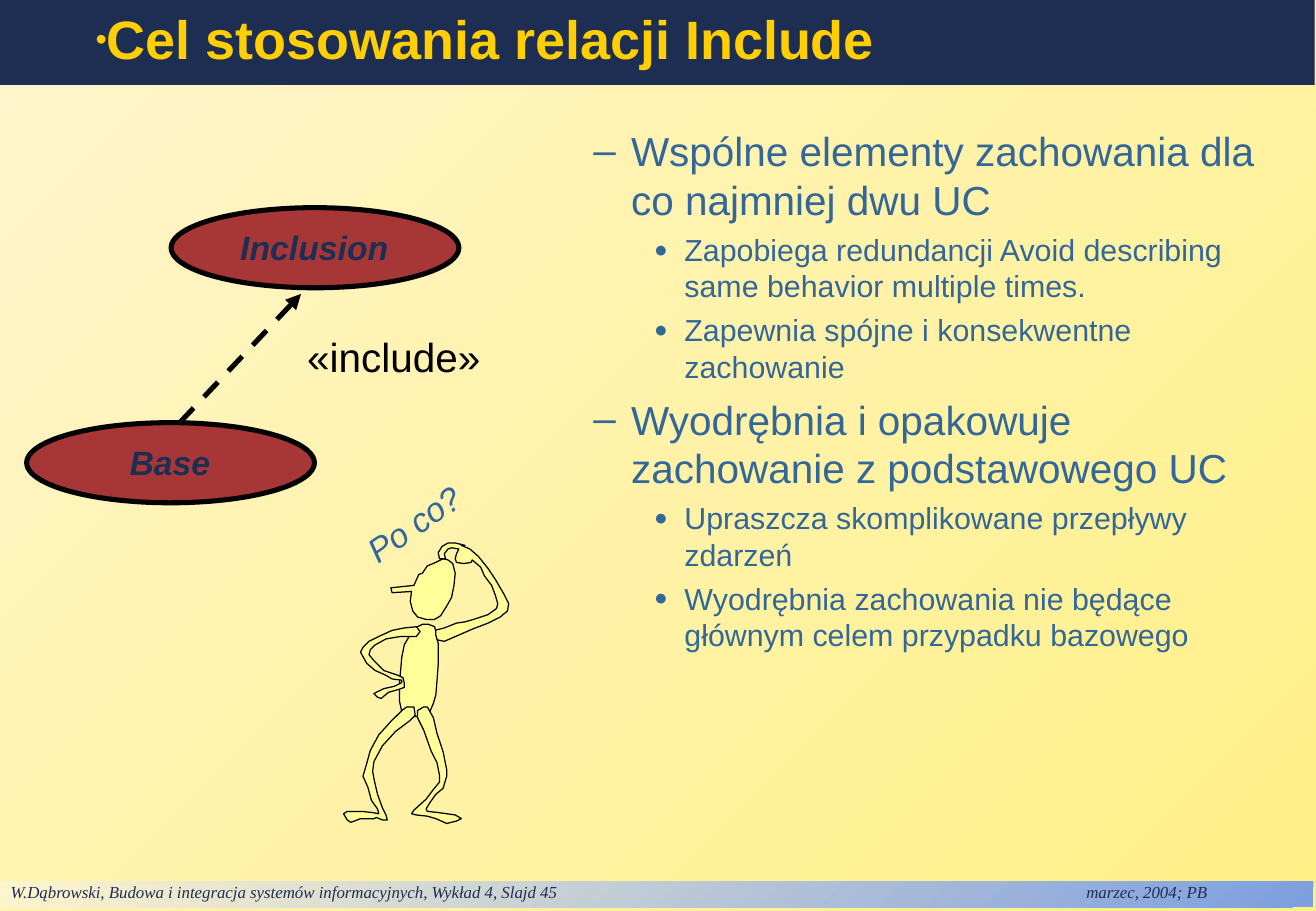
from lxml import etree
from pptx import Presentation
from pptx.dml.color import RGBColor
from pptx.enum.dml import MSO_LINE
from pptx.enum.shapes import MSO_CONNECTOR, MSO_SHAPE
from pptx.enum.text import MSO_ANCHOR, MSO_AUTO_SIZE, PP_ALIGN
from pptx.oxml.ns import qn
from pptx.util import Pt

PX = 9144  # EMU; one px is a hundredth of an inch
RECT, OVAL = MSO_SHAPE.RECTANGLE, MSO_SHAPE.OVAL
STRAIGHT, DASH = MSO_CONNECTOR.STRAIGHT, MSO_LINE.DASH
TOP, MIDDLE = MSO_ANCHOR.TOP, MSO_ANCHOR.MIDDLE
LEFT, CENTER = PP_ALIGN.LEFT, PP_ALIGN.CENTER
GROW = MSO_AUTO_SIZE.SHAPE_TO_FIT_TEXT

NAVY, GOLD, BLUE, BLACK = "1E2E53", "FFCF01", "336699", "000000"
BRICK, PALE = "A73737", "FFFF99"

# Font formats
TITLE = {"name": "Arial", "size": Pt(32), "bold": True}
FOOTER = {"name": "Times New Roman", "size": Pt(10), "italic": True}
STEREOTYPE = {"name": "Arial", "size": Pt(24)}
USE_CASE = {"name": "Arial", "size": Pt(20), "bold": True, "italic": True}
QUESTION = {"name": "Arial", "size": Pt(20), "italic": True}

# Level: font, bullet, space before, left margin, first-line indent
LEVELS = {
    1: ({"name": "Arial", "size": Pt(24)}, ("–", 100), 6, 81, -31),
    2: ({"name": "Arial", "size": Pt(18)}, ("●", 75), 4.5, 125, -25),
}
GOALS = [
    (1, "Wspólne elementy zachowania dla co najmniej dwu UC"),
    (2, "Zapobiega redundancji Avoid describing same behavior multiple times."),
    (2, "Zapewnia spójne i konsekwentne zachowanie"),
    (1, "Wyodrębnia i opakowuje zachowanie z podstawowego UC"),
    (2, "Upraszcza skomplikowane przepływy zdarzeń"),
    (2, "Wyodrębnia zachowania nie będące głównym celem przypadku bazowego"),
]

# Outlines of the thinking figure
HEAD = [(348, 472), (352, 466), (359, 463), (365, 460), (369, 461), (373, 464),
        (375, 472), (374, 482), (372, 492), (368, 499), (363, 507), (358, 510),
        (351, 510), (344, 508), (340, 503), (338, 495), (339, 487), (323, 488),
        (322, 484), (341, 482), (345, 473)]
RAISED_ARM = [(383, 449), (375, 447), (369, 447), (364, 450), (361, 455), (362, 460),
              (367, 460), (366, 456), (369, 452), (372, 451), (378, 452), (376, 456),
              (375, 460), (376, 463), (382, 464), (388, 463), (389, 461), (396, 467),
              (399, 474), (405, 482), (408, 490), (410, 497), (409, 501), (402, 506),
              (390, 510), (383, 512), (376, 513), (366, 517), (358, 519), (357, 524),
              (361, 527), (366, 528), (373, 525), (389, 518), (402, 513), (412, 508),
              (418, 503), (419, 497), (415, 489), (408, 477), (402, 468), (394, 458),
              (387, 452), (380, 449)]
TORSO = [(359, 520), (358, 516), (353, 514), (348, 514), (342, 517), (337, 524),
         (333, 531), (331, 541), (330, 552), (329, 563), (329, 577), (331, 586),
         (335, 589), (343, 590), (350, 590), (354, 586), (357, 579), (359, 572),
         (360, 560), (361, 546), (361, 530), (359, 523)]
BENT_ARM = [(343, 516), (333, 517), (323, 519), (312, 524), (304, 528), (299, 533),
            (297, 537), (302, 546), (309, 552), (318, 556), (323, 559), (331, 560),
            (331, 562), (325, 565), (316, 567), (308, 571), (311, 574), (314, 575),
            (320, 570), (327, 568), (333, 566), (333, 562), (332, 558), (328, 556),
            (316, 552), (309, 545), (304, 539), (305, 535), (309, 531), (318, 526),
            (330, 524), (337, 524), (343, 524), (346, 520)]
LEFT_LEG = [(335, 582), (341, 582), (342, 589), (338, 593), (326, 602), (315, 614),
            (308, 627), (307, 635), (308, 641), (311, 654), (315, 665), (318, 671),
            (319, 675), (315, 675), (310, 673), (308, 674), (297, 674), (289, 677),
            (286, 675), (283, 670), (286, 668), (298, 668), (307, 669), (312, 670),
            (311, 666), (306, 659), (303, 648), (299, 639), (302, 629), (305, 618),
            (312, 605), (322, 594), (331, 585)]
RIGHT_LEG = [(352, 582), (357, 591), (360, 604), (365, 619), (368, 634), (368, 639),
             (365, 649), (359, 654), (354, 661), (351, 666), (352, 668), (361, 669),
             (375, 671), (380, 674), (376, 676), (368, 678), (359, 674), (352, 672),
             (343, 671), (339, 670), (341, 667), (351, 658), (357, 650), (362, 644),
             (362, 638), (360, 628), (355, 618), (349, 601), (344, 591), (344, 585),
             (349, 582)]


def rgb(color):
    return RGBColor.from_string(color)


def paint_gradient(fill, *colors):
    fill.gradient()
    fill.gradient_angle = 135
    for stop, color in zip(fill.gradient_stops, colors):
        stop.color.rgb = rgb(color)


def paint(shape, color, outline=None):
    """Flat fill; outline is a width in points, black."""
    shape.shadow.inherit = False
    shape.fill.solid()
    shape.fill.fore_color.rgb = rgb(color)
    if outline:
        shape.line.color.rgb = rgb(BLACK)
        shape.line.width = Pt(outline)
    else:
        shape.line.fill.background()


def add_preset(shapes, kind, box, color, outline=None):
    shape = shapes.add_shape(kind, *(PX * n for n in box))
    paint(shape, color, outline)
    return shape


def set_frame(shape, insets, anchor=TOP, wrap=True):
    frame = shape.text_frame
    left, top, right, bottom = (PX * n for n in insets)
    values = {"margin_left": left, "margin_top": top, "margin_right": right,
              "margin_bottom": bottom, "vertical_anchor": anchor, "word_wrap": wrap}
    for name, value in values.items():
        setattr(frame, name, value)
    return frame


def write(paragraph, text, font, color, align=LEFT):
    paragraph.alignment = align
    run = paragraph.add_run()
    run.text = text
    for name, value in font.items():
        setattr(run.font, name, value)
    run.font.color.rgb = rgb(color)


def add_bullet(paragraph, char, size, color, margin, indent):
    props = paragraph._p.get_or_add_pPr()
    props.set("marL", str(PX * margin))
    props.set("indent", str(PX * indent))
    bullet_color = etree.SubElement(props, qn("a:buClr"))
    etree.SubElement(bullet_color, qn("a:srgbClr"), val=color)
    etree.SubElement(props, qn("a:buSzPct"), val=str(size * 1000))
    etree.SubElement(props, qn("a:buFont"), typeface="Arial")
    etree.SubElement(props, qn("a:buChar"), char=char)


def add_label(shapes, box, text, font, color, align=LEFT):
    """One unbroken line; the side insets leave the text a little slack."""
    label = shapes.add_textbox(*(PX * n for n in box))
    frame = set_frame(label, (11, 6, 11, 6), wrap=False)
    frame.auto_size = GROW
    write(frame.paragraphs[0], text, font, color, align)
    return label


def add_outline(shapes, points):
    builder = shapes.build_freeform(*points[0], scale=PX)
    builder.add_line_segments(points[1:], close=True)
    paint(builder.convert_to_shape(), PALE, 0.75)


def add_dashed_arrow(shapes, start, end):
    arrow = shapes.add_connector(STRAIGHT, *(PX * n for n in start + end))
    arrow.line.color.rgb = rgb(BLACK)
    arrow.line.width = Pt(3)
    arrow.line.dash_style = DASH
    etree.SubElement(arrow.line._get_or_add_ln(), qn("a:tailEnd"), type="triangle")
    etree.SubElement(arrow._element.spPr, qn("a:effectLst"))


def add_footer(shapes):
    bar = add_preset(shapes, RECT, (-1, 726, 1083, 21), NAVY)
    paint_gradient(bar.fill, "7D9EDF", "FFF5CD")
    line = set_frame(bar, (10, 0, 10, 4)).paragraphs[0]
    tabs = etree.SubElement(line._p.get_or_add_pPr(), qn("a:tabLst"))
    etree.SubElement(tabs, qn("a:tab"), pos=str(PX * 886), algn="l")
    write(line, "W.Dąbrowski, Budowa i integracja systemów informacyjnych, "
                "Wykład 4, Slajd 45\tmarzec, 2004; PB", FOOTER, NAVY)


def add_title(shapes):
    banner = add_preset(shapes, RECT, (0, 0, 1083, 70), NAVY)
    heading = set_frame(banner, (10, 5, 10, 5), MIDDLE).paragraphs[0]
    add_bullet(heading, "•", 60, GOLD, 29, 40)
    heading.line_spacing = 0.9
    write(heading, "Cel stosowania relacji Include", TITLE, GOLD)


def add_goals(shapes):
    body = shapes.add_textbox(*(PX * n for n in (429, 99, 614, 579)))
    frame = set_frame(body, (10, 5, 10, 5))
    for index, (level, text) in enumerate(GOALS):
        font, (char, size), space, margin, indent = LEVELS[level]
        goal = frame.add_paragraph() if index else frame.paragraphs[0]
        goal.level = level
        add_bullet(goal, char, size, BLUE, margin, indent)
        goal.space_before = Pt(space if index else 0)
        write(goal, text, font, BLUE)


def main():
    prs = Presentation()
    prs.slide_width, prs.slide_height = PX * 1084, PX * 750
    slide = prs.slides.add_slide(prs.slide_layouts[6])
    shapes = slide.shapes
    paint_gradient(slide.background.fill, "FFF085", "FFF5CD")

    add_footer(shapes)
    add_title(shapes)
    add_goals(shapes)

    # Use case diagram
    for left, top in ((22, 348), (141, 171)):
        add_preset(shapes, OVAL, (left, top, 237, 66), BRICK, 3)
    add_dashed_arrow(shapes, (148, 348), (248, 242))
    add_label(shapes, (242, 267, 166, 52), "«include»", STEREOTYPE, BLACK)
    add_label(shapes, (95, 358, 90, 45), "Base", USE_CASE, NAVY, CENTER)
    add_label(shapes, (186, 181, 146, 45), "Inclusion", USE_CASE, NAVY, CENTER)

    # Thinking figure with its question
    figure = shapes.add_group_shape().shapes
    for points in (HEAD, RAISED_ARM, TORSO, BENT_ARM, LEFT_LEG, RIGHT_LEG):
        add_outline(figure, points)
    question = add_label(figure, (286, 408, 110, 45), "Po co?", QUESTION, BLUE)
    question.rotation = 324.9

    prs.save("out.pptx")


if __name__ == "__main__":
    main()
